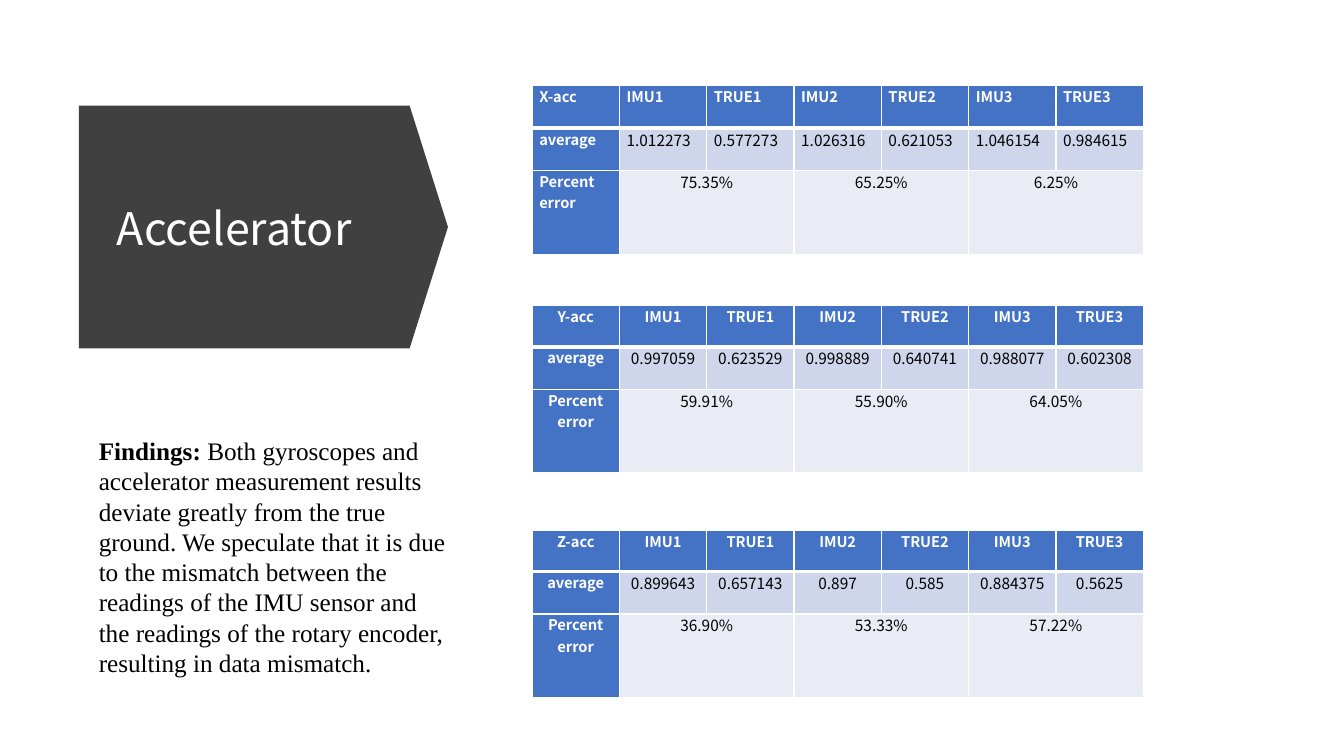
from lxml import etree
from pptx import Presentation
from pptx import util as u
from pptx.dml.color import RGBColor
from pptx.enum import shapes, text
from pptx.oxml.ns import qn

SANS, SERIF = "Noto Sans CJK SC", "Times New Roman"
WHITE, BLACK, DARK, BLUE = "FFFFFF", "000000", "404040", "4472C4"
BANDS = [BLUE, "CFD5EA", "E9EBF5"]
MID, JUST = text.PP_ALIGN.CENTER, text.PP_ALIGN.JUSTIFY

TITLE = "Accelerator"
LEAD = "Findings: "
BODY = ("Both gyroscopes and accelerator measurement results deviate greatly "
        "from the true ground. We speculate that it is due to the mismatch "
        "between the readings of the IMU sensor and the readings of the rotary "
        "encoder, resulting in data mismatch.")
HEADS = ["IMU1", "TRUE1", "IMU2", "TRUE2", "IMU3", "TRUE3"]
# axis, top in cm, header height in cm, alignment, averages, percent errors
TABLES = [
    ("X-acc", 2.16, 1.07, JUST,
     ["1.012273", "0.577273", "1.026316", "0.621053", "1.046154", "0.984615"],
     ["75.35%", "65.25%", "6.25%"]),
    ("Y-acc", 7.7, 1.04, MID,
     ["0.997059", "0.623529", "0.998889", "0.640741", "0.988077", "0.602308"],
     ["59.91%", "55.90%", "64.05%"]),
    ("Z-acc", 13.36, 1.04, MID,
     ["0.899643", "0.657143", "0.897", "0.585", "0.884375", "0.5625"],
     ["36.90%", "53.33%", "57.22%"]),
]
LEFT, COL, ROWS = 13.41, 2.2, [1.07, 2.11]


def box(*nums):
    return [u.Cm(n) for n in nums]


def paint(fill, color):
    fill.solid()
    fill.fore_color.rgb = RGBColor.from_string(color)


def style(run, size, face, color, bold=False):
    font = run.font
    font.size, font.name, font.bold = u.Pt(size), face, bold
    font.color.rgb = RGBColor.from_string(color)


def edge(cell, row):
    """Draw white cell borders, thick below the header row."""
    props = cell._tc.get_or_add_tcPr()
    wide = {0: "lnB", 1: "lnT"}.get(row)
    for side in ("lnL", "lnR", "lnT", "lnB"):
        width = u.Pt(3 if side == wide else 1)
        line = etree.SubElement(props, qn("a:" + side), w=str(int(width)))
        solid = etree.SubElement(line, qn("a:solidFill"))
        etree.SubElement(solid, qn("a:srgbClr"), val=WHITE)


def add_grid(slide, axis, top, head, align, means, errors):
    high = [head] + ROWS
    wide = 1 + len(HEADS)
    rows = [[axis] + HEADS, ["average"] + means, ["Percent error"]]
    for error in errors:
        rows[2] += [error, ""]
    table = slide.shapes.add_table(
        len(rows), wide, *box(LEFT, top, COL * wide, sum(high))).table
    table.first_col, table.horz_banding = True, False
    for col in table.columns:
        col.width = u.Cm(COL)
    for r, row in enumerate(rows):
        table.rows[r].height = u.Cm(high[r])
        for c, word in enumerate(row):
            cell = table.cell(r, c)
            label = r == 0 or c == 0
            edge(cell, r)
            paint(cell.fill, BLUE if label else BANDS[r])
            cell.margin_left = cell.margin_right = u.Cm(0.18)
            cell.margin_top = cell.margin_bottom = 0
            if not word:
                continue
            cell.text_frame.text = word
            para = cell.text_frame.paragraphs[0]
            para.alignment = MID if r == 2 and c else align
            style(para.runs[0], 10.5 if label else 11, SANS,
                  WHITE if label else BLACK, label)
    for c in range(1, wide, 2):
        table.cell(2, c).merge(table.cell(2, c + 1))


def main():
    deck = Presentation()
    deck.slide_width, deck.slide_height = box(33.87, 19.05)
    slide = deck.slides.add_slide(deck.slide_layouts[5])
    title = slide.shapes.title

    arrow = slide.shapes.add_shape(
        shapes.MSO_SHAPE.DOWN_ARROW, *box(3.58, 1.07, 6.12, 9.3))
    arrow.rotation = 270
    arrow.adjustments[0], arrow.adjustments[1] = 1, 0.158
    arrow.shadow.inherit = False
    paint(arrow.fill, DARK)
    arrow.line.fill.background()

    arrow._element.addnext(title._element)
    title.left, title.top, title.width, title.height = box(2.69, 3.35, 7.42, 4.95)
    title.text_frame.text = TITLE
    title.text_frame.vertical_anchor = text.MSO_ANCHOR.MIDDLE
    para = title.text_frame.paragraphs[0]
    para.alignment, para.line_spacing = text.PP_ALIGN.LEFT, 0.9
    style(para.runs[0], 32, SANS, WHITE)

    for item in TABLES:
        add_grid(slide, *item)

    frame = slide.shapes.add_textbox(*box(2.24, 10.85, 9.3, 6.4)).text_frame
    frame.word_wrap = True
    frame.auto_size = text.MSO_AUTO_SIZE.SHAPE_TO_FIT_TEXT
    for part, bold in ((LEAD, True), (BODY, False)):
        run = frame.paragraphs[0].add_run()
        run.text = part
        style(run, 18, SERIF, BLACK, bold)

    deck.save("out.pptx")


if __name__ == "__main__":
    main()
